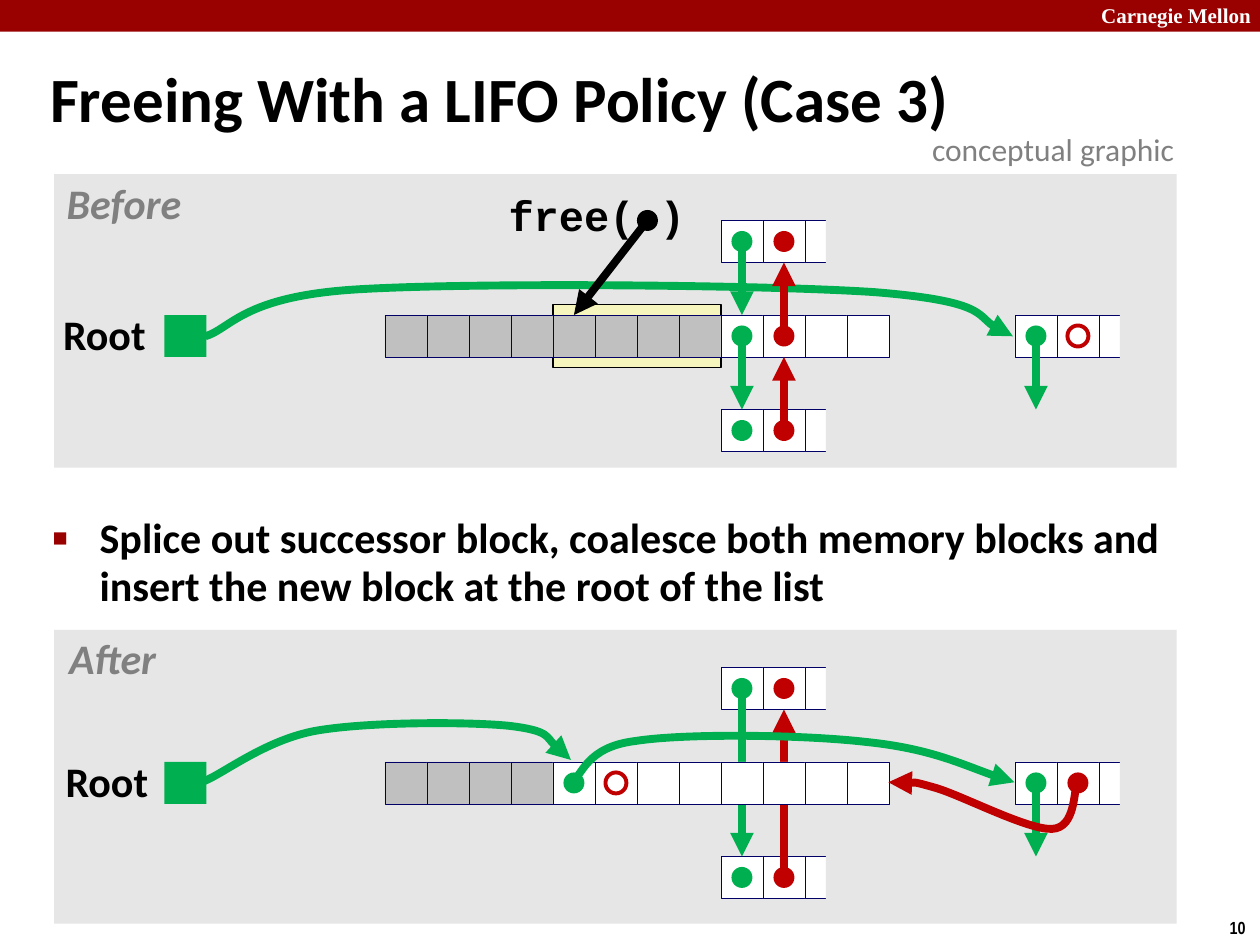
from lxml.etree import SubElement
from pptx import Presentation
from pptx.dml.color import RGBColor
from pptx.enum.shapes import MSO_CONNECTOR, MSO_SHAPE
from pptx.enum.text import MSO_ANCHOR, MSO_AUTO_SIZE, PP_ALIGN
from pptx.oxml.ns import qn
from pptx.util import Cm, Pt

BLACK = RGBColor(0x00, 0x00, 0x00)
WHITE = RGBColor(0xFF, 0xFF, 0xFF)
CRIMSON = RGBColor(0x99, 0x00, 0x00)
PANEL_GRAY = RGBColor(0xE6, 0xE6, 0xE6)
USED_GRAY = RGBColor(0xC0, 0xC0, 0xC0)
TEXT_GRAY = RGBColor(0x80, 0x80, 0x80)
YELLOW = RGBColor(0xF6, 0xF5, 0xBD)
NAVY = RGBColor(0x00, 0x00, 0x66)
GREEN = RGBColor(0x00, 0xB0, 0x50)
RED = RGBColor(0xC0, 0x00, 0x00)

# Memory grid in cm: columns are one cell wide, rows 2.25 cells apart
CELL = 2.54 / 3
GRID_LEFT = 7.76
ROW_STEP = 2.25
COLUMNS = 12
PARTIAL_BLOCKS = [(8, -1), (8, 1), (15, 0)]  # column, row

TITLE = "Freeing With a LIFO Policy (Case 3)"
BULLET = ("Splice out successor block, coalesce both memory blocks and "
          "insert the new block at the root of the list")

# Links: colour, column, start row, end row. Dots: colour, column, row.
# Curves: colour, start point and Bezier points in cm.
BEFORE = {
    "panel_top": 3.51, "grid_top": 6.35, "used": 8, "highlight": (4, 8),
    "label": ("Before", 1.19, 3.56, 2.62), "root": (1.14, 6.2),
    "back_curves": [(GREEN, [
        (4.14, 6.78), (4.65, 6.63), (4.88, 5.99), (7.11, 5.84), (9.37, 5.69),
        (15.39, 5.74), (17.63, 5.89), (19.84, 6.07), (19.84, 6.6), (20.42, 6.78)])],
    "back_links": [],
    "links": [(GREEN, 8, -1, 0), (GREEN, 8, 0, 1), (RED, 9, 1, 0),
              (RED, 9, 0, -1), (GREEN, 15, 0, 1)],
    "dots": [(GREEN, 8, -1), (GREEN, 8, 0), (GREEN, 8, 1), (RED, 9, -1),
             (RED, 9, 0), (RED, 9, 1), (GREEN, 15, 0)],
    "null_column": 16,
    "curves": [],
}
AFTER = {
    "panel_top": 12.7, "grid_top": 15.36, "used": 4, "highlight": None,
    "label": ("After", 1.24, 12.73, 2.06), "root": (1.19, 15.21),
    "back_curves": [],
    "back_links": [(RED, 9, 1, -1), (GREEN, 8, -1, 1)],
    "links": [(GREEN, 15, 0, 1)],
    "dots": [(GREEN, 4, 0), (GREEN, 8, -1), (GREEN, 8, 1), (RED, 9, -1),
             (RED, 9, 1), (GREEN, 15, 0), (RED, 16, 0)],
    "null_column": 5,
    "curves": [
        (GREEN, [
            (11.53, 15.77), (11.73, 15.65), (11.81, 15.06), (12.8, 14.94), (13.79, 14.78),
            (16.21, 14.81), (17.48, 14.96), (18.75, 15.09), (19.84, 15.6), (20.45, 15.77)]),
        (RED, [
            (21.72, 15.77), (21.64, 15.93), (21.69, 16.69), (21.21, 16.71), (20.73, 16.74),
            (19.38, 16.03), (18.85, 15.88), (18.29, 15.72), (18.11, 15.8), (17.91, 15.77)]),
        (GREEN, [
            (4.11, 15.75), (4.5, 15.6), (5.36, 14.91), (6.38, 14.73), (7.42, 14.55),
            (9.4, 14.55), (10.24, 14.63), (11.1, 14.73), (11.25, 15.16), (11.51, 15.32)]),
    ],
}


def add_block(shapes, left, top, width, height, fill, line=None, weight=0.25,
              kind=MSO_SHAPE.RECTANGLE):
    shape = shapes.add_shape(kind, Cm(left), Cm(top), Cm(width), Cm(height))
    shape.shadow.inherit = False
    if fill is None:
        shape.fill.background()
    else:
        shape.fill.solid()
        shape.fill.fore_color.rgb = fill
    if line is None:
        shape.line.fill.background()
    else:
        shape.line.color.rgb = line
        shape.line.width = Pt(weight)


def add_dot(shapes, x, y, fill, line=None):
    size = CELL / 2
    add_block(shapes, x - size / 2, y - size / 2, size, size, fill, line, 2.25,
              MSO_SHAPE.OVAL)


def style_arrow(shape, color):
    shape.line.color.rgb = color
    shape.line.width = Pt(4.5)
    SubElement(shape.line._get_or_add_ln(), qn("a:tailEnd"), type="triangle")


def add_arrow(shapes, x1, y1, x2, y2, color):
    arrow = shapes.add_connector(MSO_CONNECTOR.STRAIGHT, Cm(x1), Cm(y1), Cm(x2), Cm(y2))
    style_arrow(arrow, color)
    SubElement(arrow._element.spPr, qn("a:effectLst"))


def add_curve(shapes, color, points):
    start, *rest = [(Cm(x), Cm(y)) for x, y in points]
    builder = shapes.build_freeform(*start)
    builder.add_line_segments(rest, close=False)
    shape = builder.convert_to_shape()
    shape.fill.background()
    shape.shadow.inherit = False
    style_arrow(shape, color)
    # Every three straight segments become one cubic Bezier segment
    outline = next(shape._element.iter(qn("a:path")))
    segments = outline.findall(qn("a:lnTo"))
    for index in range(0, len(segments), 3):
        bezier = SubElement(outline, qn("a:cubicBezTo"))
        for segment in segments[index:index + 3]:
            bezier.append(segment[0])
            outline.remove(segment)


def write_text(shape, text, *, size, color=BLACK, font="Calibri", bold=True, italic=False,
               align=PP_ALIGN.LEFT, spacing=None, wrap=False, inset=0.25,
               anchor=MSO_ANCHOR.TOP, bullet=False):
    frame = shape.text_frame
    frame.text = text
    frame.word_wrap = wrap
    frame.auto_size = MSO_AUTO_SIZE.NONE
    frame.vertical_anchor = anchor
    frame.margin_left = frame.margin_right = Cm(inset)
    frame.margin_top = frame.margin_bottom = Cm(0.13)
    paragraph = frame.paragraphs[0]
    if bullet:
        properties = paragraph._p.get_or_add_pPr()
        properties.set("marL", str(Cm(0.95)))
        properties.set("indent", str(-Cm(0.95)))
        SubElement(SubElement(properties, qn("a:buClr")), qn("a:srgbClr"), val=str(CRIMSON))
        SubElement(properties, qn("a:buSzPct"), val="60000")
        SubElement(properties, qn("a:buFont"), typeface="Arial")
        SubElement(properties, qn("a:buChar"), char="■")
    paragraph.alignment = align
    if spacing:
        paragraph.line_spacing = spacing
    paragraph.font.name = font
    paragraph.font.size = Pt(size)
    paragraph.font.bold = bold
    paragraph.font.italic = italic
    paragraph.font.color.rgb = color


def add_text(shapes, text, left, top, width, height, **text_format):
    box = shapes.add_textbox(Cm(left), Cm(top), Cm(width), Cm(height))
    write_text(box, text, **text_format)


def add_label(shapes, text, left, top, width, **text_format):
    add_text(shapes, text, left, top, width, 1.19, size=24, align=PP_ALIGN.CENTER,
             spacing=0.9, inset=0.13, **text_format)


def draw_panel(shapes, panel):
    def x(column):
        return GRID_LEFT + column * CELL

    def y(row, offset=0):
        return panel["grid_top"] + (row * ROW_STEP + offset) * CELL

    def draw_links(links):
        for color, column, start, end in links:
            edge = 0 if end > start else 1
            add_arrow(shapes, x(column + 0.5), y(start, 0.5), x(column + 0.5),
                      y(end, edge), color)

    add_block(shapes, 1.09, panel["panel_top"], 22.63, 5.92, PANEL_GRAY)
    if panel["highlight"]:
        first, last = panel["highlight"]
        add_block(shapes, x(first), y(0, -0.25), (last - first) * CELL, 1.5 * CELL,
                  YELLOW, BLACK, 0.75)
    for color, points in panel["back_curves"]:
        add_curve(shapes, color, points)

    # Neighbouring blocks, cut off on the right
    for column, row in PARTIAL_BLOCKS:
        group = shapes.add_group_shape().shapes
        for step in range(3):
            add_block(group, x(column + step), y(row), CELL, CELL, WHITE, NAVY)
        add_block(group, x(column + 2.5), y(row, -0.25), CELL, 1.5 * CELL, PANEL_GRAY)

    # Memory row, root, pointers
    draw_links(panel["back_links"])
    for column in range(COLUMNS):
        fill = USED_GRAY if column < panel["used"] else WHITE
        add_block(shapes, x(column), y(0), CELL, CELL, fill, NAVY)
    add_block(shapes, x(-5.25), y(0), CELL, CELL, GREEN)
    draw_links(panel["links"])
    for color, column, row in panel["dots"]:
        add_dot(shapes, x(column + 0.5), y(row, 0.5), color)
    add_dot(shapes, x(panel["null_column"] + 0.5), y(0, 0.5), None, RED)
    for color, points in panel["curves"]:
        add_curve(shapes, color, points)

    add_label(shapes, "Root", *panel["root"], 1.93)
    add_label(shapes, *panel["label"], color=TEXT_GRAY, italic=True)

    # The call that frees the highlighted block
    if panel["highlight"]:
        add_label(shapes, "free( )", 10.11, 3.81, 3.84, font="Courier New")
        add_dot(shapes, x(6.25), y(-1), BLACK)
        add_arrow(shapes, x(6.25), y(-1), x(4.5), y(0), BLACK)


def main():
    presentation = Presentation()
    presentation.slide_width, presentation.slide_height = Cm(25.4), Cm(19.05)
    slide = presentation.slides.add_slide(presentation.slide_layouts[5])
    shapes = slide.shapes

    # Header band and page number
    add_block(shapes, 0, 0, 25.4, 0.64, CRIMSON)
    add_text(shapes, "Carnegie Mellon", 21.95, -0.08, 3.63, 0.76, size=12,
             font="Times New Roman", color=WHITE)
    add_text(shapes, "10", 24.54, 18.36, 0.86, 0.69, size=10, font="Arial Narrow")

    # Title
    title = shapes.title
    title.left, title.top, title.width, title.height = Cm(0.76), Cm(0.99), Cm(24.21), Cm(2.18)
    write_text(title, TITLE, size=36, spacing=0.87, wrap=True, anchor=MSO_ANCHOR.MIDDLE)

    # Diagrams and explanation
    for panel in (BEFORE, AFTER):
        draw_panel(shapes, panel)
    add_text(shapes, BULLET, 0.81, 10.26, 23.09, 2.18, size=24, spacing=0.95, wrap=True,
             bullet=True)
    add_text(shapes, "conceptual graphic", 18.54, 2.49, 5.51, 1.02, size=18,
             color=TEXT_GRAY, bold=False)

    presentation.save("out.pptx")


if __name__ == "__main__":
    main()
